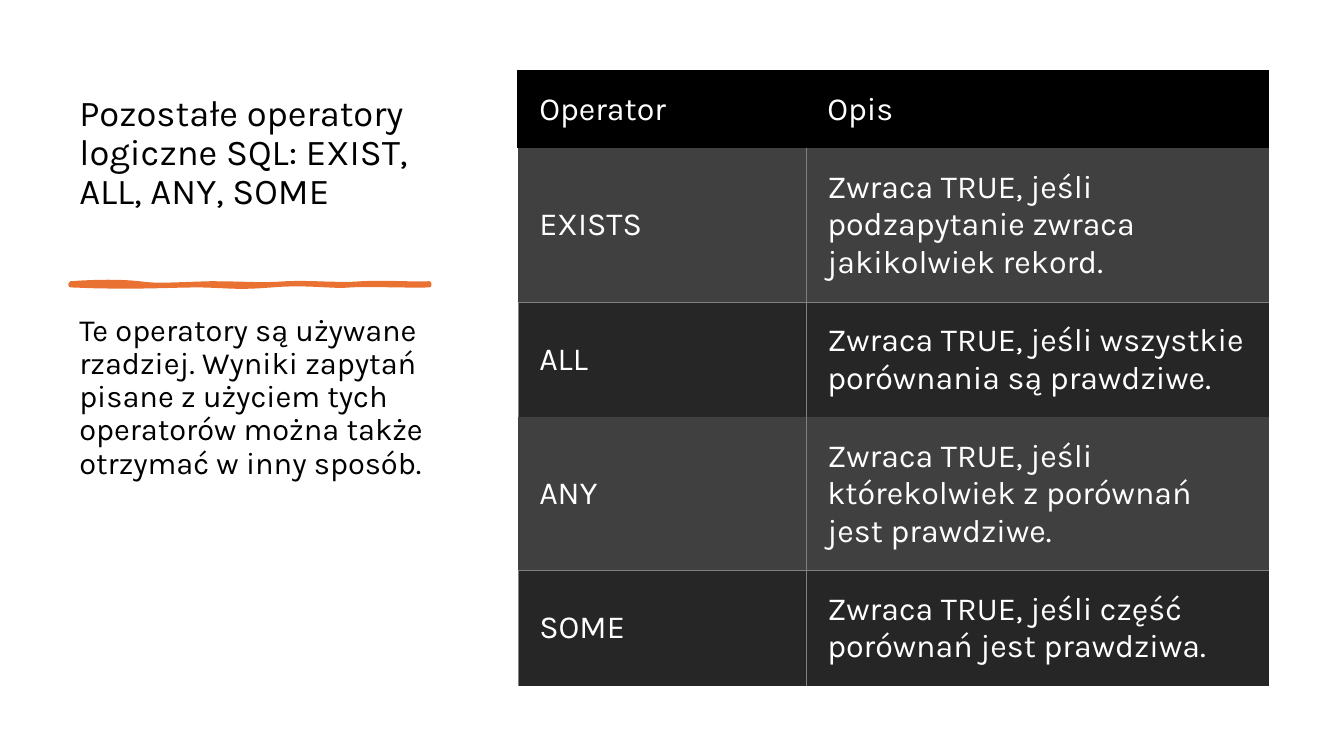
from dataclasses import dataclass

from lxml import etree
from pptx import Presentation
from pptx import util as u
from pptx.dml.color import RGBColor
from pptx.enum import text
from pptx.oxml.ns import qn


@dataclass(frozen=True)
class Theme:
    font: str = "Karla"
    ink: str = "000000"
    paper: str = "FFFFFF"
    accent: str = "E97132"
    grid: str = "808080"
    bands: tuple = ("404040", "262626")
    title_size: int = 26
    body_size: int = 22
    table_size: int = 23
    accent_line: int = 3
    grid_line: float = 0.5
    header_line: float = 1.5


def apply(target, values):
    for name, value in values.items():
        setattr(target, name, value)


def bezier(start, c1, c2, end, steps=8):
    """Points along a cubic curve, without its start."""
    for i in range(1, steps + 1):
        t = i / steps
        weights = ((1 - t) ** 3, 3 * t * (1 - t) ** 2, 3 * t * t * (1 - t), t ** 3)
        yield tuple(sum(w * p[axis] for w, p in zip(weights, (start, c1, c2, end)))
                    for axis in (0, 1))


class SlideBuilder:
    def __init__(self, slide, theme):
        self.slide = slide
        self.theme = theme

    def style_font(self, paragraph, size, color):
        apply(paragraph.font, {"name": self.theme.font, "size": u.Pt(size), "bold": False})
        paragraph.font.color.rgb = RGBColor.from_string(color)

    def text_block(self, words, box, size, frame_format):
        frame = self.slide.shapes.add_textbox(*map(u.Cm, box)).text_frame
        apply(frame, {"word_wrap": True, **frame_format})
        paragraph = frame.paragraphs[0]
        paragraph.text = words
        paragraph.line_spacing = 0.9
        self.style_font(paragraph, size, self.theme.ink)

    def brush_stroke(self, upper, lower):
        """Closed outline from two runs of curve points."""
        points = []
        for edge in (upper, lower):
            points.append(edge[0])
            for i in range(0, len(edge) - 1, 3):
                points.extend(bezier(*edge[i:i + 4]))
        outline = [(u.Cm(x), u.Cm(y)) for x, y in points]
        builder = self.slide.shapes.build_freeform(*outline[0])
        builder.add_line_segments(outline[1:], close=True)
        stroke = builder.convert_to_shape()
        stroke.shadow.inherit = False
        color = RGBColor.from_string(self.theme.accent)
        stroke.fill.solid()
        stroke.fill.fore_color.rgb = color
        stroke.line.color.rgb = color
        stroke.line.width = u.Pt(self.theme.accent_line)

    def cell_borders(self, cell, borders):
        properties = cell._tc.get_or_add_tcPr()
        for position, side in enumerate("LRTB"):
            line = etree.Element(qn(f"a:ln{side}"))
            if side in borders:
                color, width = borders[side]
                line.set("w", str(u.Pt(width)))
                fill = etree.SubElement(line, qn("a:solidFill"))
                etree.SubElement(fill, qn("a:srgbClr"), val=color)
            else:
                line.set("w", "0")
                etree.SubElement(line, qn("a:noFill"))
            properties.insert(position, line)

    def borders_for(self, row, column):
        header = (self.theme.ink, self.theme.header_line)
        grid = (self.theme.grid, self.theme.grid_line)
        if row == 0:
            sides, line = ("LT", "T")[column], header
        elif row % 2:
            sides, line = ("RB", "LB")[column], grid
        else:
            sides, line = ("LTR", "LT")[column], grid
        return {side: line for side in sides}

    def table(self, rows, left, top, widths, heights):
        grid = self.slide.shapes.add_table(
            len(rows), len(widths), u.Cm(left), u.Cm(top),
            u.Cm(sum(widths)), u.Cm(sum(heights))).table
        for column, width in zip(grid.columns, widths):
            column.width = u.Cm(width)
        for line, height in zip(grid.rows, heights):
            line.height = u.Cm(height)
        cell_format = {
            "vertical_anchor": text.MSO_ANCHOR.MIDDLE,
            "margin_left": u.Cm(0.53), "margin_right": u.Cm(0.41),
            "margin_top": u.Cm(0.41), "margin_bottom": u.Cm(0.41),
        }
        for r, row in enumerate(rows):
            band = self.theme.bands[(r - 1) % 2] if r else self.theme.ink
            for c, words in enumerate(row):
                cell = grid.cell(r, c)
                cell.text = words
                apply(cell, cell_format)
                cell.fill.solid()
                cell.fill.fore_color.rgb = RGBColor.from_string(band)
                self.style_font(cell.text_frame.paragraphs[0],
                                self.theme.table_size, self.theme.paper)
                self.cell_borders(cell, self.borders_for(r, c))


OPERATORS = [
    ("Operator", "Opis"),
    ("EXISTS", "Zwraca TRUE, jeśli podzapytanie zwraca jakikolwiek rekord."),
    ("ALL", "Zwraca TRUE, jeśli wszystkie porównania są prawdziwe."),
    ("ANY", "Zwraca TRUE, jeśli którekolwiek z porównań jest prawdziwe."),
    ("SOME", "Zwraca TRUE, jeśli część porównań jest prawdziwa."),
]

# Curve points in cm: a start, then two controls and an end for each curve
STROKE_UPPER = [
    (1.78, 7.14),
    (2.46, 7.09), (3.07, 7.09), (3.51, 7.14),
    (3.94, 7.21), (4.5, 7.16), (5.31, 7.14),
    (6.12, 7.14), (6.6, 7.19), (7.21, 7.14),
    (7.82, 7.11), (8.61, 7.19), (9.12, 7.14),
    (9.63, 7.11), (10.46, 7.16), (10.82, 7.14),
]
STROKE_LOWER = [
    (10.82, 7.19),
    (10.36, 7.21), (9.25, 7.16), (8.84, 7.19),
    (8.43, 7.24), (7.72, 7.11), (6.86, 7.19),
    (5.97, 7.26), (5.87, 7.21), (5.05, 7.19),
    (4.22, 7.19), (3.35, 7.26), (1.78, 7.19),
]


def main():
    deck = Presentation()
    apply(deck, {"slide_width": u.Cm(33.87), "slide_height": u.Cm(19.05)})
    theme = Theme()
    page = SlideBuilder(deck.slides.add_slide(deck.slide_layouts[6]), theme)

    # Title, raised above the stroke by its bottom inset
    page.text_block("Pozostałe operatory logiczne SQL: EXIST, ALL, ANY, SOME",
                    (1.75, 1.78, 9.53, 4.78), theme.title_size,
                    {"vertical_anchor": text.MSO_ANCHOR.BOTTOM, "margin_bottom": u.Cm(1.2)})

    # Hand-drawn divider
    page.brush_stroke(STROKE_UPPER, STROKE_LOWER)

    # Remark on usage
    page.text_block("Te operatory są używane rzadziej. Wyniki zapytań pisane z użyciem "
                    "tych operatorów można także otrzymać w inny sposób.",
                    (1.75, 7.8, 9.53, 9.47), theme.body_size,
                    {"vertical_anchor": text.MSO_ANCHOR.TOP})

    # Operator table
    three_lines, two_lines = 3.87, 2.9
    page.table(OPERATORS, 13.06, 1.78, (7.26, 11.66),
               (1.96, three_lines, two_lines, three_lines, two_lines))

    deck.save("out.pptx")


if __name__ == "__main__":
    main()
